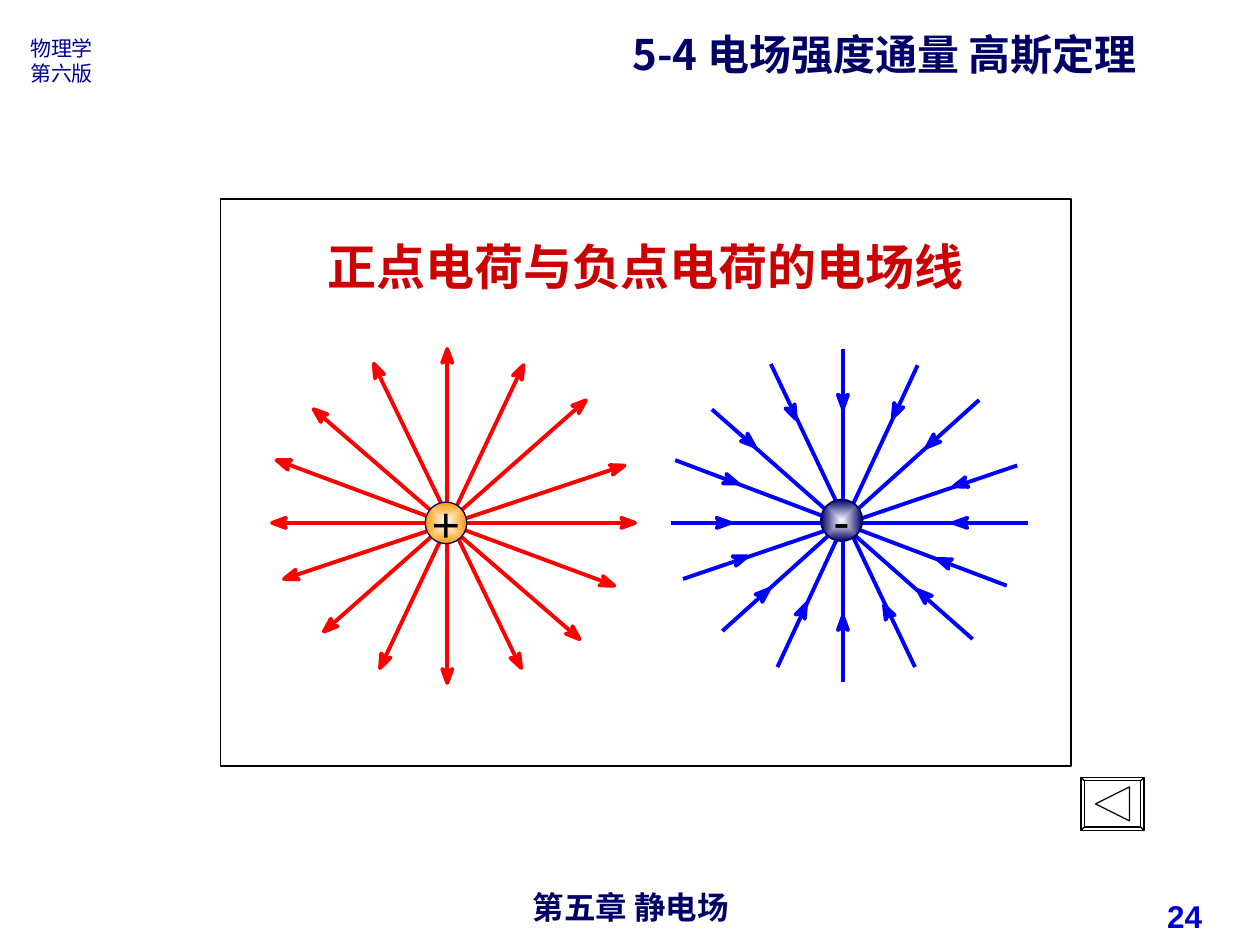
from math import hypot

from lxml.etree import SubElement
from pptx import Presentation
from pptx.dml.color import RGBColor
from pptx.enum.shapes import MSO_CONNECTOR, MSO_SHAPE
from pptx.enum.text import MSO_ANCHOR, MSO_AUTO_SIZE, PP_ALIGN
from pptx.oxml.ns import qn
from pptx.util import Inches, Pt

NAVY = RGBColor(0x00, 0x00, 0x66)
EDITION_BLUE = RGBColor(0x00, 0x00, 0x99)
NUMBER_BLUE = RGBColor(0x00, 0x00, 0xCC)
HEADING_RED = RGBColor(0xCC, 0x00, 0x00)
FIELD_RED = RGBColor(0xFF, 0x00, 0x00)
FIELD_BLUE = RGBColor(0x00, 0x00, 0xFF)
ORANGE = RGBColor(0xFF, 0x99, 0x00)
WHITE = RGBColor(0xFF, 0xFF, 0xFF)
BLACK = RGBColor(0x00, 0x00, 0x00)

HAN_FONT = "Noto Sans CJK SC"
LATIN_FONT = "Arial"

# Both ends of each field line, in inches from the positive charge
FIELD_LINES = [
    ((1.41, 0), (-1.31, 0)),
    ((1.25, 0.47), (-1.28, -0.47)),
    ((0.99, 0.87), (-1.0, -0.85)),
    ((0.57, -1.18), (-0.5, 1.08)),
    ((1.33, -0.43), (-1.22, 0.42)),
    ((-0.92, 0.81), (1.04, -0.92)),
    ((0, 1.19), (0, -1.3)),
    ((0.55, 1.08), (-0.55, -1.19)),
]
# Distance from each line end to the arrow tip; negative lies beyond the end
OUTWARD_TIPS = [(-0.08, -0.08)] * len(FIELD_LINES)
INWARD_TIPS = [(0.59, 0.47), (0.59, 0.53), (0.58, 0.45), (0.46, 0.55),
               (0.53, 0.54), (0.5, 0.56), (0.52, 0.47), (0.55, 0.48)]
ARROW_LENGTH, ARROW_NOTCH, ARROW_HALF_WIDTH = 0.11, 0.08, 0.04
BALL_SIZE = 0.33


def write(shape, text, size, color, font=HAN_FONT, bold=False,
          align=PP_ALIGN.LEFT, anchor=MSO_ANCHOR.TOP, wrap=True):
    frame = shape.text_frame
    frame.text = text
    frame.word_wrap = wrap
    frame.vertical_anchor = anchor
    frame.auto_size = MSO_AUTO_SIZE.NONE
    for paragraph in frame.paragraphs:
        paragraph.alignment = align
        for run in paragraph.runs:
            run.font.size = Pt(size)
            run.font.bold = bold
            run.font.color.rgb = color
            run.font.name = font
            east_asian = SubElement(run.font._element, qn("a:ea"))
            east_asian.set("typeface", HAN_FONT)
    return frame


def add_label(slide, box, text, size, color, **style):
    label = slide.shapes.add_textbox(*map(Inches, box))
    write(label, text, size, color, **style)


def add_outline(slide, preset, box):
    outline = slide.shapes.add_shape(preset, *map(Inches, box))
    outline.shadow.inherit = False
    outline.fill.background()
    outline.line.color.rgb = BLACK
    outline.line.width = Pt(0.75)
    return outline


def add_section_title(slide, box):
    title = slide.shapes.title
    title.left, title.top, title.width, title.height = map(Inches, box)
    frame = write(title, "5-4 电场强度通量 高斯定理", 24, NAVY, bold=True)
    frame.margin_left = Inches(0.18)
    frame.paragraphs[0].line_spacing = 1.2


def add_arrowhead(slide, tip, direction, color):
    (x, y), (dx, dy) = tip, direction

    def point(back, side):
        return (Inches(x - back * dx - side * dy),
                Inches(y - back * dy + side * dx))

    builder = slide.shapes.build_freeform(*point(0, 0), scale=1.0)
    builder.add_line_segments([point(ARROW_LENGTH, ARROW_HALF_WIDTH),
                               point(ARROW_NOTCH, 0),
                               point(ARROW_LENGTH, -ARROW_HALF_WIDTH)])
    head = builder.convert_to_shape()
    head.shadow.inherit = False
    head.fill.solid()
    head.fill.fore_color.rgb = color
    head.line.color.rgb = color
    head.line.width = Pt(2.25)


def add_charge_ball(slide, center, sign, color, outline_width):
    left, top = (c - BALL_SIZE / 2 for c in center)
    ball = slide.shapes.add_shape(
        MSO_SHAPE.OVAL, *map(Inches, (left, top, BALL_SIZE, BALL_SIZE)))
    ball.shadow.inherit = False
    ball.line.color.rgb = NAVY
    ball.line.width = Pt(outline_width)
    # Gradient from a white centre to a coloured rim
    ball.fill.gradient()
    for stop, stop_color in zip(ball.fill.gradient_stops, (WHITE, color)):
        stop.color.rgb = stop_color
    gradient = ball._element.spPr.find(qn("a:gradFill"))
    gradient.remove(gradient.find(qn("a:lin")))
    shade = SubElement(gradient, qn("a:path"))
    shade.set("path", "rect")
    focus = SubElement(shade, qn("a:fillToRect"))
    for side in "ltrb":
        focus.set(side, "50000")
    write(ball, sign, 28, BLACK, font=LATIN_FONT, align=PP_ALIGN.CENTER,
          anchor=MSO_ANCHOR.MIDDLE, wrap=False)


def add_field(slide, center, scale, tips, outward, color):
    cx, cy = center
    for ends, tip_insets in zip(FIELD_LINES, tips):
        offsets = [(x * scale[0], y * scale[1]) for x, y in ends]
        corners = [Inches(v) for x, y in offsets for v in (cx + x, cy + y)]
        line = slide.shapes.add_connector(MSO_CONNECTOR.STRAIGHT, *corners)
        line.line.color.rgb = color
        line.line.width = Pt(2.25)
        SubElement(line._element.spPr, qn("a:effectLst"))
        for (x, y), inset in zip(offsets, tip_insets):
            radius = hypot(x, y)
            ux, uy = x / radius, y / radius
            tip = (cx + x - inset * ux, cy + y - inset * uy)
            heading = (ux, uy) if outward else (-ux, -uy)
            add_arrowhead(slide, tip, heading, color)


def add_field_panel(slide, box):
    left, top, width, height = box
    positive = (left + 1.8, top + 2.57)
    negative = (left + 4.94, top + 2.57)
    # Positive charge
    add_field(slide, positive, (1, 1), OUTWARD_TIPS, True, FIELD_RED)
    add_charge_ball(slide, (positive[0] - 0.01, positive[1]), "+", ORANGE, 0.75)
    # Panel heading and frame
    add_label(slide, (left + 0.75, top + 0.25, width - 1, 0.57),
              "正点电荷与负点电荷的电场线", 28, HEADING_RED, bold=True)
    add_outline(slide, MSO_SHAPE.RECTANGLE, box)
    # Negative charge
    add_field(slide, negative, (1.04, 1.06), INWARD_TIPS, False, FIELD_BLUE)
    add_charge_ball(slide, (negative[0] - 0.01, negative[1] - 0.02), "-", NAVY, 1)


def add_back_button(slide, box):
    left, top, width, height = box
    frame = add_outline(slide, MSO_SHAPE.BEVEL, box)
    frame.adjustments[0] = 0.06
    side = 0.27
    triangle = add_outline(slide, MSO_SHAPE.ISOSCELES_TRIANGLE,
                           (left + (width - side) / 2, top + (height - side) / 2,
                            side, side))
    triangle.rotation = -90


def add_page_marks(slide, width, height):
    add_label(slide, (0.14, 0.23, 0.72, 0.5), "物理学\n第六版", 12, EDITION_BLUE)
    add_label(slide, (3.42, height - 0.5, 3.17, 0.29), "第五章 静电场", 18, NAVY,
              font=LATIN_FONT, bold=True, align=PP_ALIGN.CENTER)
    add_label(slide, (width - 2.69, height - 0.46, 2.33, 0.45), "24", 18,
              NUMBER_BLUE, font=LATIN_FONT, bold=True, align=PP_ALIGN.RIGHT,
              anchor=MSO_ANCHOR.MIDDLE)


def main():
    width, height = 10, 7.5
    deck = Presentation()
    deck.slide_width, deck.slide_height = Inches(width), Inches(height)
    slide = deck.slides.add_slide(deck.slide_layouts[5])
    add_page_marks(slide, width, height)
    add_field_panel(slide, (1.75, 1.58, 6.75, 4.5))
    add_back_button(slide, (8.58, 6.17, 0.5, 0.42))
    add_section_title(slide, (4.84, 0.1, 4.69, 1.06))
    deck.save("out.pptx")


if __name__ == "__main__":
    main()
